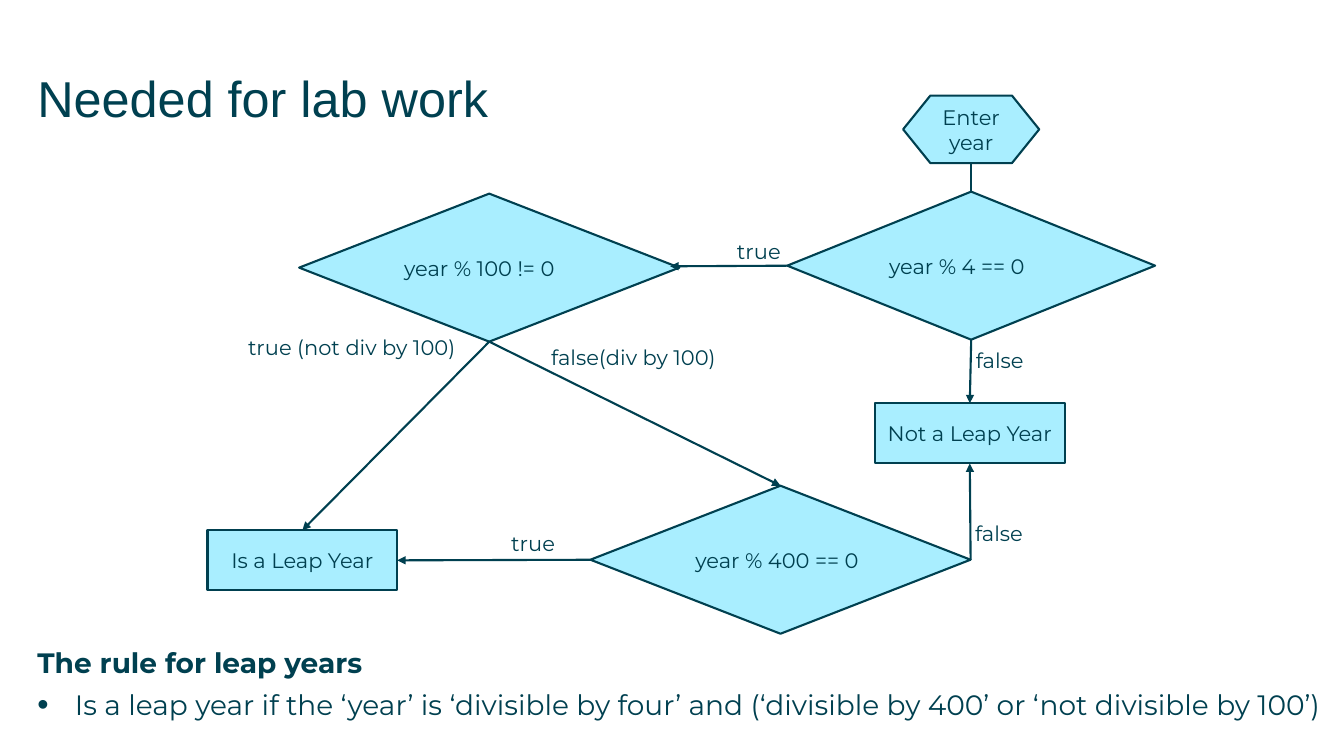
from typing import NamedTuple

from lxml import etree
from pptx import Presentation
from pptx.dml.color import RGBColor
from pptx.enum.shapes import MSO_CONNECTOR, MSO_SHAPE
from pptx.enum.text import MSO_ANCHOR, PP_ALIGN
from pptx.oxml.ns import qn
from pptx.util import Cm, Pt

DARK = RGBColor(0x00, 0x40, 0x50)
CYAN = RGBColor(0xA9, 0xEE, 0xFF)
DECISION = MSO_SHAPE.FLOWCHART_DECISION
PREPARATION = MSO_SHAPE.FLOWCHART_PREPARATION
RECTANGLE = MSO_SHAPE.RECTANGLE
STRAIGHT = MSO_CONNECTOR.STRAIGHT
TOP, MIDDLE = MSO_ANCHOR.TOP, MSO_ANCHOR.MIDDLE
LEFT, CENTER = PP_ALIGN.LEFT, PP_ALIGN.CENTER
SITE_TOP, SITE_LEFT, SITE_BOTTOM, SITE_RIGHT = range(4)
BODY_FONT = "Montserrat"
LINE_WIDTH = Pt(1.5)


class Node(NamedTuple):
    key: str
    kind: int
    text: str
    x: float
    y: float
    w: float
    h: float


class Label(NamedTuple):
    text: str
    x: float
    y: float
    w: float = 1.83
    h: float = 0.81


class Link(NamedTuple):
    start: str
    start_site: int
    end: str
    end_site: int
    arrow: bool = True


NODES = [
    Node("enter", PREPARATION, "Enter year", 22.76, 2.41, 3.43, 1.7),
    Node("by4", DECISION, "year % 4 == 0", 19.84, 4.83, 9.27, 3.73),
    Node("by100", DECISION, "year % 100 != 0", 7.54, 4.88, 9.58, 3.73),
    Node("by400", DECISION, "year % 400 == 0", 14.88, 12.24, 9.58, 3.73),
    Node("not_leap", RECTANGLE, "Not a Leap Year", 22.05, 10.16, 4.78, 1.52),
    Node("leap", RECTANGLE, "Is a Leap Year", 5.23, 13.36, 4.78, 1.52),
]
LABELS = [
    Label("false", 24.28, 8.66),
    Label("true", 18.21, 5.92),
    Label("true (not div by 100)", 5.69, 8.26, 6.35, 0.97),
    Label("false(div by 100)", 13.36, 8.51, 5.21, 0.99),
    Label("true", 12.52, 13.28),
    Label("false", 24.26, 13.03),
]
LINKS = [
    Link("enter", SITE_BOTTOM, "by4", SITE_TOP, False),
    Link("by4", SITE_BOTTOM, "not_leap", SITE_TOP),
    Link("by100", SITE_BOTTOM, "leap", SITE_TOP),
    Link("by100", SITE_BOTTOM, "by400", SITE_TOP),
    Link("by400", SITE_LEFT, "leap", SITE_RIGHT),
    Link("by400", SITE_RIGHT, "not_leap", SITE_BOTTOM),
]


def add_run(p, text: str, size: float, font: str = BODY_FONT, bold: bool = False) -> None:
    r = p.add_run()
    r.text = text
    r.font.size = Pt(size)
    r.font.name = font
    r.font.bold = bold
    r.font.color.rgb = DARK


def setup_frame(tf, anchor, inset: bool = True) -> None:
    tf.word_wrap = True
    tf.vertical_anchor = anchor
    if not inset:
        tf.margin_left = tf.margin_right = tf.margin_top = tf.margin_bottom = 0


def add_caption(sp, text: str, align) -> None:
    setup_frame(sp.text_frame, MIDDLE)
    p = sp.text_frame.paragraphs[0]
    p.alignment = align
    add_run(p, text, 15)


def add_node(s, node: Node):
    sp = s.shapes.add_shape(node.kind, Cm(node.x), Cm(node.y), Cm(node.w), Cm(node.h))
    sp.shadow.inherit = False
    sp.fill.solid()
    sp.fill.fore_color.rgb = CYAN
    sp.line.color.rgb = DARK
    sp.line.width = LINE_WIDTH
    add_caption(sp, node.text, LEFT if node.kind == DECISION else CENTER)
    return sp


def add_label(s, label: Label) -> None:
    sp = s.shapes.add_textbox(Cm(label.x), Cm(label.y), Cm(label.w), Cm(label.h))
    add_caption(sp, label.text, CENTER)


def add_line(s, arrow: bool, end_x: float = 0, end_y: float = 0):
    line = s.shapes.add_connector(STRAIGHT, 0, 0, Cm(end_x), Cm(end_y))
    line.line.color.rgb = DARK
    line.line.width = LINE_WIDTH
    if arrow:
        etree.SubElement(line.line._get_or_add_ln(), qn("a:tailEnd"), type="triangle")
    etree.SubElement(line._element.spPr, qn("a:effectLst"))
    return line


def add_title(s) -> None:
    sp = s.shapes.title
    sp.left, sp.top, sp.width, sp.height = Cm(0.94), Cm(1.55), Cm(32), Cm(2.24)
    setup_frame(sp.text_frame, TOP, False)
    p = sp.text_frame.paragraphs[0]
    p.alignment = LEFT
    p.line_spacing = 1.1
    add_run(p, "Needed for lab work", 36, "Arial")


def add_rule(s) -> None:
    tf = s.shapes.add_textbox(Cm(0.94), Cm(16.26), Cm(32.59), Cm(2)).text_frame
    setup_frame(tf, TOP, False)
    p = tf.paragraphs[0]
    p.space_after = Pt(6.5)
    add_run(p, "The rule for leap years", 20, bold=True)
    p = tf.add_paragraph()
    pPr = p._p.get_or_add_pPr()
    pPr.set("marL", str(Cm(0.95)))
    pPr.set("indent", str(-Cm(0.95)))
    etree.SubElement(pPr, qn("a:buSzPct"), val="115000")
    etree.SubElement(pPr, qn("a:buFont"), typeface="Arial")
    etree.SubElement(pPr, qn("a:buChar"), char="•")
    p.space_after = Pt(6.5)
    add_run(p, "Is a leap year if the ‘year’ is ‘divisible by four’ and "
               "(‘divisible by 400’ or ‘not divisible by 100’)", 20)


def main() -> None:
    prs = Presentation()
    prs.slide_width, prs.slide_height = Cm(33.87), Cm(19.05)
    s = prs.slides.add_slide(prs.slide_layouts[5])
    add_title(s)
    add_rule(s)
    shapes = {node.key: add_node(s, node) for node in NODES}
    for link in LINKS:
        line = add_line(s, link.arrow)
        line.begin_connect(shapes[link.start], link.start_site)
        line.end_connect(shapes[link.end], link.end_site)
    add_line(s, True, 16.89, 6.71).begin_connect(shapes["by4"], SITE_LEFT)
    for label in LABELS:
        add_label(s, label)
    prs.save("out.pptx")


if __name__ == "__main__":
    main()
